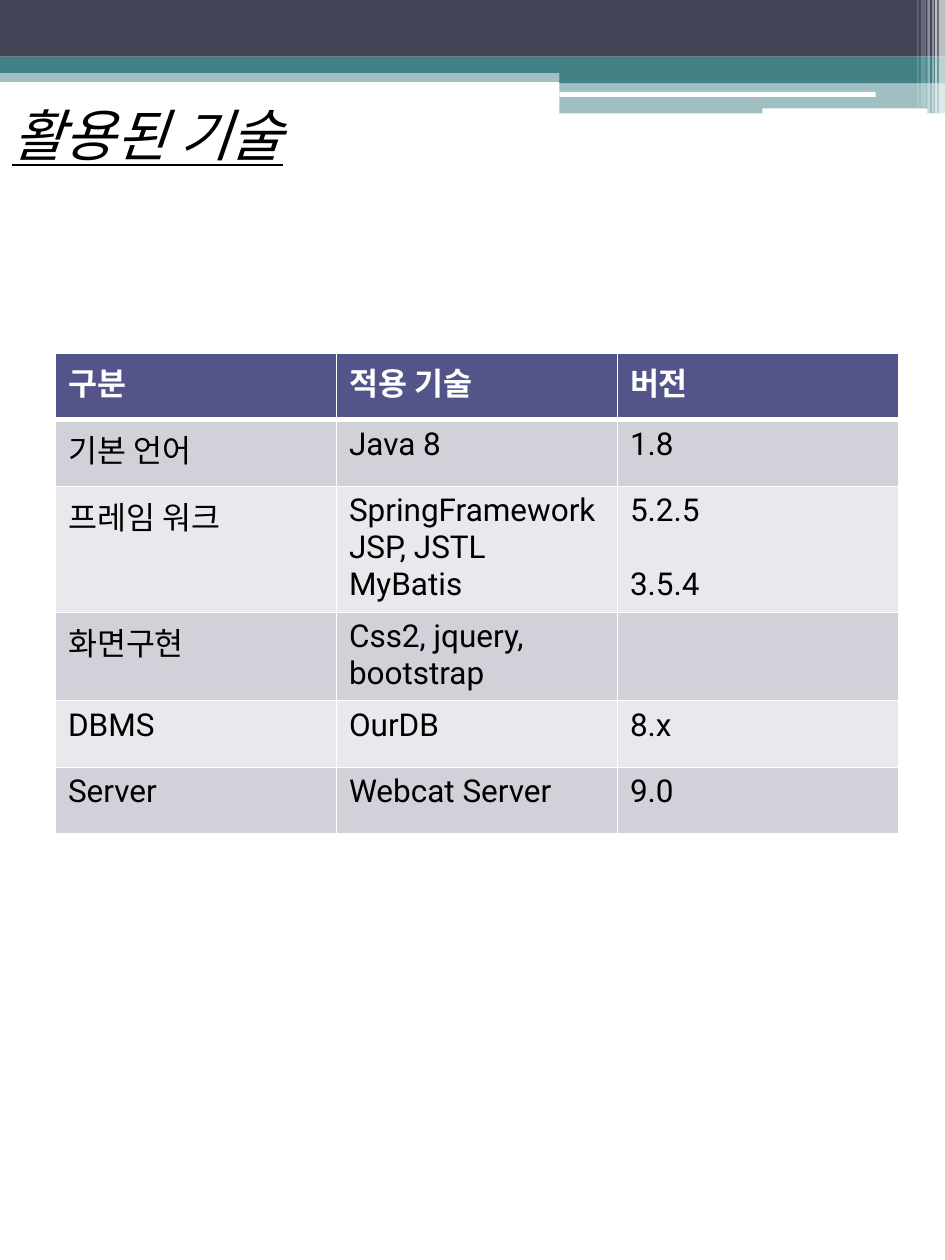
from lxml import etree
from pptx import Presentation
from pptx.dml.color import RGBColor
from pptx.enum.shapes import MSO_SHAPE
from pptx.enum.text import MSO_AUTO_SIZE
from pptx.oxml.ns import qn
from pptx.util import Inches, Pt

RECT = MSO_SHAPE.RECTANGLE
ROUND = MSO_SHAPE.ROUNDED_RECTANGLE
FIT_SHAPE = MSO_AUTO_SIZE.SHAPE_TO_FIT_TEXT

WHITE = RGBColor(0xFF, 0xFF, 0xFF)
BLACK = RGBColor(0x00, 0x00, 0x00)
SLATE = RGBColor(0x42, 0x44, 0x56)
TEAL = RGBColor(0x43, 0x80, 0x86)
INDIGO = RGBColor(0x53, 0x54, 0x8A)
BAND_DARK = RGBColor(0xD1, 0xD1, 0xDA)
BAND_LIGHT = RGBColor(0xE9, 0xE9, 0xED)

COLS, ROWS = 75, 100
BODY_SIZE = 18
SKIPPED_LINE = Pt(21.1)

# left, top, width, height, colour, opacity in percent, shape
BANNER = [
    (0, 5.3, 75, 1.2, TEAL, 50, RECT),
    (0, 0, 75, 4.5, SLATE, 100, RECT),
    (0, 4.5, 75, 1.3, TEAL, 100, RECT),
    (44.4, 5.3, 30.6, 1.3, TEAL, 100, RECT),
    (44.4, 6.4, 30.6, 2.6, TEAL, 50, RECT),
    (44.4, 7.3, 25.1, 0.4, WHITE, 100, ROUND),
    (60.5, 8.6, 13.1, 0.5, WHITE, 100, ROUND),
]
# left, width, height, opacity in percent
STRIPES = [
    (74.5, 0.5, 9.1, 65),
    (74.2, 0.2, 9.1, 65),
    (74, 0.1, 9.1, 60),
    (73.6, 0.2, 9.1, 40),
    (73.1, 0.4, 8.5, 20),
    (72.8, 0.1, 8.5, 30),
]
TECH_ROWS = [
    ("구분", "적용 기술", "버전"),
    ("기본 언어", "Java 8", "1.8"),
    ("프레임 워크", "SpringFramework\nJSP, JSTL\nMyBatis", "5.2.5\n3.5.4"),
    ("화면구현", "Css2, jquery, bootstrap", ""),
    ("DBMS", "OurDB", "8.x"),
    ("Server", "Webcat Server", "9.0"),
]
ROW_HEIGHTS = [5.3, 5.3, 8.1, 5.3, 5.3, 5.3]


class SlideBuilder:
    """Draws on one slide, with lengths in columns and rows of its grid."""

    font = "Roboto"

    def __init__(self, prs):
        self.col = prs.slide_width / COLS
        self.row = prs.slide_height / ROWS
        self.s = prs.slides.add_slide(prs.slide_layouts[6])

    def box(self, left, top, width, height):
        return (round(left * self.col), round(top * self.row),
                round(width * self.col), round(height * self.row))

    def style(self, p, size, color, **flags):
        for r in p.runs:
            r.font.name = self.font
            r.font.size = Pt(size)
            r.font.color.rgb = color
            for name, value in flags.items():
                setattr(r.font, name, value)

    def shape(self, left, top, width, height, color, opacity=100, kind=RECT):
        sp = self.s.shapes.add_shape(kind, *self.box(left, top, width, height))
        sp.shadow.inherit = False
        sp.line.fill.background()
        sp.fill.solid()
        sp.fill.fore_color.rgb = color
        if opacity < 100:
            clr = sp.fill._xPr.find(".//" + qn("a:srgbClr"))
            etree.SubElement(clr, qn("a:alpha"), val=str(opacity * 1000))

    def title(self, text, left, top, width, height):
        sp = self.s.shapes.add_textbox(*self.box(left, top, width, height))
        tf = sp.text_frame
        tf.word_wrap = False
        tf.auto_size = FIT_SHAPE
        tf.text = text
        self.style(tf.paragraphs[0], 32, BLACK, italic=True, underline=True)

    def borders(self, cell, bottom):
        """Give a cell white borders, the lower one of its own width."""
        tcPr = cell._tc.get_or_add_tcPr()
        for i, (side, width) in enumerate(
                [("L", 1), ("R", 1), ("T", 1), ("B", bottom)]):
            ln = etree.Element(qn("a:ln" + side), w=str(Pt(width)))
            fill = etree.SubElement(ln, qn("a:solidFill"))
            etree.SubElement(fill, qn("a:srgbClr"), val=str(WHITE))
            tcPr.insert(i, ln)

    def table(self, rows, heights, left, top, width):
        frame = self.s.shapes.add_table(
            len(rows), len(rows[0]), *self.box(left, top, width, sum(heights)))
        table = frame.table
        table.horz_banding = False
        for i, (texts, height) in enumerate(zip(rows, heights)):
            header = i == 0
            table.rows[i].height = round(height * self.row)
            band = BAND_DARK if i % 2 else BAND_LIGHT
            for j, text in enumerate(texts):
                cell = table.cell(i, j)
                cell.text = text
                cell.fill.solid()
                cell.fill.fore_color.rgb = INDIGO if header else band
                for p in cell.text_frame.paragraphs:
                    self.style(p, BODY_SIZE, WHITE if header else BLACK,
                               bold=header)
                above_header = i == 1
                self.borders(cell, 3 if header else 1)
                if above_header:
                    cell._tc.tcPr.find(qn("a:lnT")).set("w", str(Pt(3)))
        return table


def main():
    prs = Presentation()
    prs.slide_width, prs.slide_height = Inches(7.5), Inches(10)
    slide = SlideBuilder(prs)
    for part in BANNER:
        slide.shape(*part)
    for left, width, height, opacity in STRIPES:
        slide.shape(left, 0, width, height, WHITE, opacity)
    slide.title("활용된 기술", 0, 7.5, 25.6, 6.4)
    table = slide.table(TECH_ROWS, ROW_HEIGHTS, 4.4, 28, 66.9)
    # The MyBatis version stands level with its name, one line further down.
    table.cell(2, 2).text_frame.paragraphs[1].space_before = SKIPPED_LINE
    prs.save("out.pptx")


if __name__ == "__main__":
    main()
